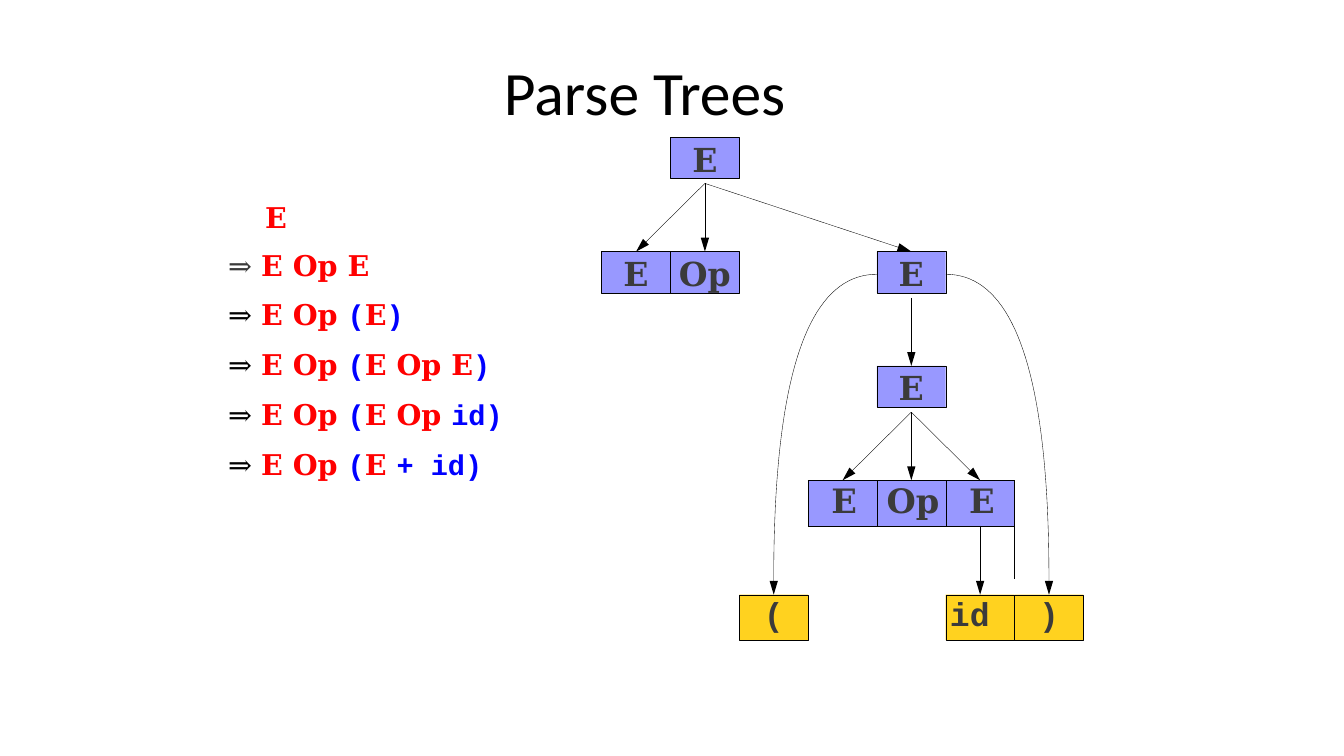
"""Build the Parse Trees slide: a derivation beside its parse tree."""
from lxml import etree
from pptx import Presentation
from pptx import util as u
from pptx.dml.color import RGBColor
from pptx.enum import shapes, text
from pptx.oxml import ns
from pptx.util import Pt

BLACK = RGBColor(0, 0, 0)
GREY = RGBColor(0x3B, 0x3B, 0x3B)
RED = RGBColor(0xFF, 0, 0)
BLUE = RGBColor(0, 0, 0xFF)
VIOLET = RGBColor(0x98, 0x98, 0xFF)
YELLOW = RGBColor(0xFF, 0xD2, 0x1F)
SERIF, MONO = "DejaVu Serif", "Courier New"
HAIRLINE = Pt(0.25)

TITLE = "Parse Trees"
STYLES = {
    "start": (SERIF, GREY, False),
    "arrow": (SERIF, BLACK, False),
    "symbol": (SERIF, RED, True),
    "token": (MONO, BLUE, True),
}
DERIVATION = [
    (10.9, [("symbol", "E")]),
    (10.1, [("start", "⇒ "), ("symbol", "E Op E")]),
    (10.1, [("arrow", "⇒ "), ("symbol", "E Op "), ("token", "("), ("symbol", "E"), ("token", ")")]),
    (11.3, [("arrow", "⇒ "), ("symbol", "E Op "), ("token", "("), ("symbol", "E Op E"), ("token", ")")]),
    (11.3, [("arrow", "⇒ "), ("symbol", "E Op "), ("token", "("), ("symbol", "E Op "), ("token", "id)")]),
    (11.3, [("arrow", "⇒ "), ("symbol", "E Op "), ("token", "("), ("symbol", "E "), ("token", "+ id)")]),
]
NODES = [("E", 1, 0), ("E", 0, 1), ("E", 4, 1), ("Op", 1, 1), ("E", 4, 2)]
TERMINALS = [("(", 2), ("id", 5), (")", 6)]
LAST_NODES = ["E", "Op", "E"]
BRANCHES = [(1, 0, [1, 0, 4]), (4, 1, [4]), (4, 2, [4, 3, 5])]
PARENTHESES = [(4, 2), (5, 6)]

COLUMN, NODE_HEIGHT, TERMINAL_HEIGHT, HEAD = 49.15, 29.5, 32.4, 11.5


def column_x(column):
    return 429.8 + COLUMN * column


def centre_x(column):
    return column_x(column + 0.5)


def level_y(level):
    return 98 + 81.7 * level


def set_margins(holder, left=0, top=0):
    holder.margin_left, holder.margin_top = Pt(left), Pt(top)
    holder.margin_right = holder.margin_bottom = 0


def set_font(font, name, size, color, bold):
    font.name, font.size, font.bold = name, Pt(size), bold
    font.color.rgb = color


def add_text_frame(left, top, width, height, inset):
    frame = slide.shapes.add_textbox(Pt(left), Pt(top), Pt(width), Pt(height)).text_frame
    frame.word_wrap = True
    set_margins(frame, top=inset)
    return frame


def add_node(label, column, level, height, fill, font_name):
    node = slide.shapes.add_shape(shapes.MSO_SHAPE.RECTANGLE, Pt(column_x(column)),
                                  Pt(level_y(level)), Pt(COLUMN), Pt(height))
    node.shadow.inherit = False
    node.fill.solid()
    node.fill.fore_color.rgb = fill
    node.line.color.rgb, node.line.width = BLACK, HAIRLINE
    frame = node.text_frame
    frame.vertical_anchor = text.MSO_ANCHOR.TOP
    set_margins(frame, top=1.4)
    paragraph = frame.paragraphs[0]
    paragraph.text, paragraph.alignment = label, text.PP_ALIGN.CENTER
    set_font(paragraph.font, font_name, 23.6, GREY, True)
    return frame


def style_arrow(arrow):
    arrow.line.color.rgb, arrow.line.width = BLACK, HAIRLINE
    properties = arrow._element.spPr
    etree.SubElement(properties.find(ns.qn("a:ln")), ns.qn("a:tailEnd"),
                     type="triangle", w="med", len="lg")
    etree.SubElement(properties, ns.qn("a:effectLst"))


def add_arrow(*ends):
    style_arrow(slide.shapes.add_connector(shapes.MSO_CONNECTOR.STRAIGHT, *map(Pt, ends)))


def add_curve(start_x, start_y, end_x, end_y, steps=40):
    points = []
    for step in range(1, steps + 1):
        t = step / steps
        points.append((Pt(end_x + (start_x - end_x) * (1 - t) ** 2),
                       Pt(start_y + (end_y - start_y) * t ** 2)))
    points.append((Pt(end_x), Pt(end_y + HEAD)))
    builder = slide.shapes.build_freeform(Pt(start_x), Pt(start_y))
    builder.add_line_segments(points, close=False)
    curve = builder.convert_to_shape()
    curve.fill.background()
    style_arrow(curve)


def set_borders(cell, drawn):
    properties = cell._tc.get_or_add_tcPr()
    for side in "LRTB":
        line = etree.SubElement(properties, ns.qn("a:ln" + side), w=str(HAIRLINE))
        if side in drawn:
            fill = etree.SubElement(line, ns.qn("a:solidFill"))
            etree.SubElement(fill, ns.qn("a:srgbClr"), val=str(BLACK))
        else:
            etree.SubElement(line, ns.qn("a:noFill"))


presentation = Presentation()
presentation.slide_width, presentation.slide_height = u.Pt(960), u.Pt(540)
slide = presentation.slides.add_slide(presentation.slide_layouts[6])

title_frame = add_text_frame(360, 37.4, 240, 54, 0.7)
title_frame.vertical_anchor = text.MSO_ANCHOR.MIDDLE
title = title_frame.paragraphs[0]
title.text, title.space_before = TITLE, Pt(0.9)
set_font(title.font, "Calibri", 44, BLACK, False)

derivation = add_text_frame(162, 131.8, 214.6, 213, 10.8)
for index, (space, parts) in enumerate(DERIVATION):
    paragraph = derivation.add_paragraph() if index else derivation.paragraphs[0]
    paragraph.space_before = Pt(space)
    paragraph._p.get_or_add_pPr().set("marL", str(Pt(1 if index else 27.4)))
    for style, words in parts:
        run = paragraph.add_run()
        run.text = words
        name, color, bold = STYLES[style]
        set_font(run.font, name, 20.4, color, bold)

for label, column, level in NODES:
    frame = add_node(label, column, level, NODE_HEIGHT, VIOLET, SERIF)
    frame.paragraphs[0].space_before = Pt(1.1)

for label, column in TERMINALS:
    frame = add_node(label, column, 4, TERMINAL_HEIGHT, YELLOW, MONO)
    set_margins(frame, top=2.2)
    frame.paragraphs[0].line_spacing = Pt(25.3)
    if label == "id":
        frame.paragraphs[0].alignment = text.PP_ALIGN.LEFT
        frame.margin_left = Pt(3)

table = slide.shapes.add_table(2, 4, Pt(column_x(3)), Pt(level_y(3)),
                               Pt(3 * COLUMN), Pt(70.6)).table
table.first_row = table.horz_banding = False
for column, share in zip(table.columns, (1, 1, 0.5, 0.5)):
    column.width = Pt(COLUMN * share)
for row, height in zip(table.rows, (TERMINAL_HEIGHT, 38.2)):
    row.height = Pt(height)
table.cell(0, 2).merge(table.cell(0, 3))
table.cell(1, 0).merge(table.cell(1, 2))
for index, label in enumerate(LAST_NODES):
    cell = table.cell(0, index)
    set_margins(cell, left=2.5, top=1.4)
    paragraph = cell.text_frame.paragraphs[0]
    paragraph.text, paragraph.alignment = label, text.PP_ALIGN.CENTER
    paragraph.space_before = Pt(1.2)
    set_font(paragraph.font, SERIF, 24, GREY, True)
    set_borders(cell, "LRTB")
    cell.fill.solid()
    cell.fill.fore_color.rgb = VIOLET
for index, sides in ((0, "TR"), (3, "LTR")):
    set_borders(table.cell(1, index), sides)
    table.cell(1, index).fill.background()

for parent, level, children in BRANCHES:
    for child in children:
        add_arrow(centre_x(parent), level_y(level) + 33, centre_x(child), level_y(level + 1))
add_arrow(centre_x(5), level_y(4) - HEAD, centre_x(5), level_y(4))
for edge, column in PARENTHESES:
    add_curve(column_x(edge), level_y(1) + 16.2, centre_x(column), level_y(4) - HEAD)

presentation.save("out.pptx")
